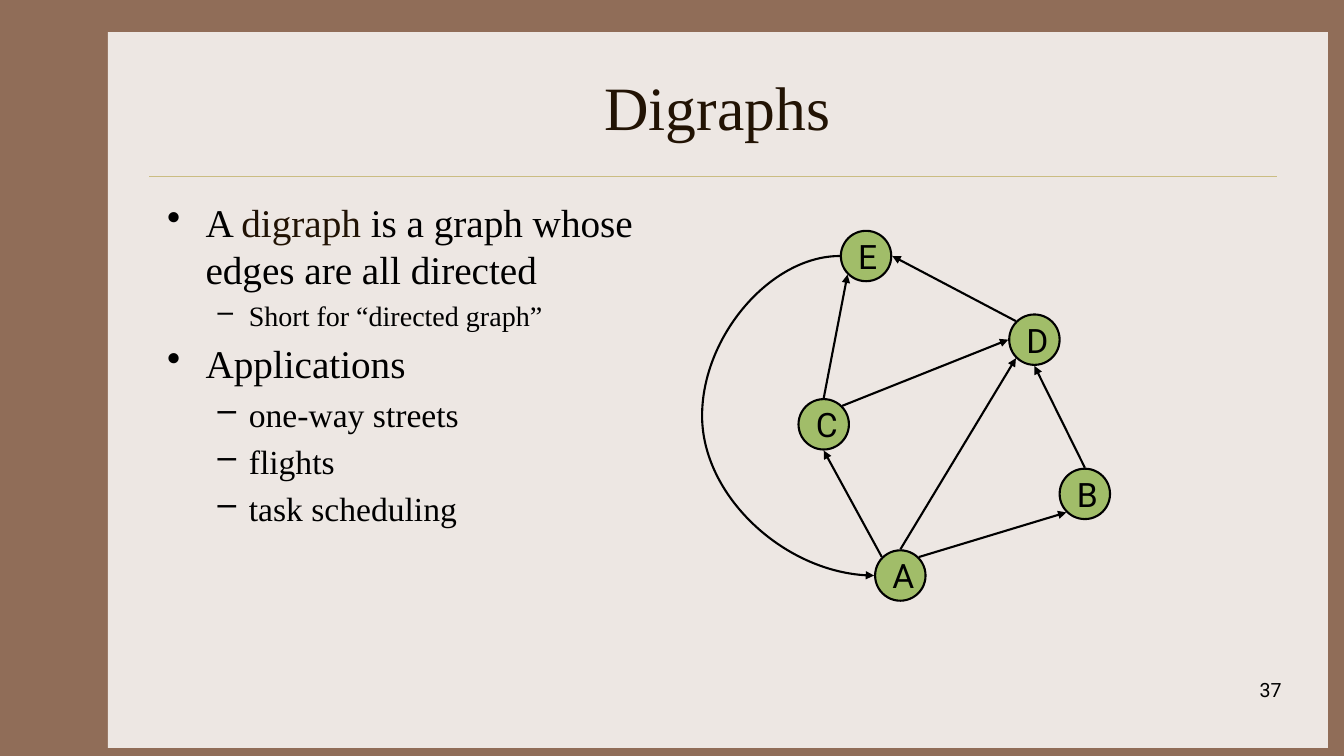
"""Build the slide introducing digraphs, with an example graph of five nodes."""
from math import cos, radians, sin

from lxml import etree
from pptx import Presentation
from pptx.dml.color import RGBColor
from pptx.enum.shapes import MSO_CONNECTOR, MSO_SHAPE
from pptx.enum.text import MSO_ANCHOR, PP_ALIGN
from pptx.oxml.ns import qn
from pptx.util import Inches, Pt

STRAIGHT, CURVE = MSO_CONNECTOR.STRAIGHT, MSO_CONNECTOR.CURVE
LEFT, CENTER, RIGHT = PP_ALIGN.LEFT, PP_ALIGN.CENTER, PP_ALIGN.RIGHT
TOP, MIDDLE = MSO_ANCHOR.TOP, MSO_ANCHOR.MIDDLE
BROWN = RGBColor(0x90, 0x6D, 0x58)
PAPER = RGBColor(0xED, 0xE7, 0xE3)
GOLD = RGBColor(0xCB, 0xBD, 0x83)
DARK_BROWN = RGBColor(0x22, 0x13, 0x04)
GREEN = RGBColor(0xA1, 0xBD, 0x69)
BLACK = RGBColor(0, 0, 0)
SERIF, SANS = "Times New Roman", "Roboto"


def write(paragraph, text, size=28, font=SERIF, color=BLACK, align=LEFT):
    paragraph.alignment = align
    run = paragraph.add_run()
    run.text = text
    run.font.size = Pt(size)
    run.font.name = font
    run.font.color.rgb = color


def connect(kind, start, end, color=BLACK, width=1.5, arrow=None):
    line = slide.shapes.add_connector(kind, *(Inches(v) for v in (*start, *end)))
    line.line.color.rgb = color
    line.line.width = Pt(width)
    if arrow:
        etree.SubElement(line.line._get_or_add_ln(), qn(f"a:{arrow}"), type="triangle")
    etree.SubElement(line._element.spPr, qn("a:effectLst"))
    return line


prs = Presentation()
prs.slide_width, prs.slide_height = Inches(13.33), Inches(7.5)
slide = prs.slides.add_slide(prs.slide_layouts[6])
slide.background.fill.solid()
slide.background.fill.fore_color.rgb = BROWN

paper = slide.shapes.add_shape(
    MSO_SHAPE.RECTANGLE, Inches(1.07), Inches(0.32), Inches(12.1), Inches(7.1))
paper.shadow.inherit = False
paper.fill.solid()
paper.fill.fore_color.rgb = PAPER
paper.line.fill.background()
connect(STRAIGHT, (1.48, 1.75), (12.67, 1.75), color=GOLD, width=0.25)

frames = []
for box, anchor in (((1.56, 0.42, 11.11, 1.25), MIDDLE),
                    ((1.56, 1.92, 5.11, 4.5), TOP),
                    ((10.03, 6.68, 2.78, 0.5), TOP)):
    frame = slide.shapes.add_textbox(*(Inches(v) for v in box)).text_frame
    frame.word_wrap = True
    frame.vertical_anchor = anchor
    frames.append(frame)
title, body, page_number = frames
write(title.paragraphs[0], "Digraphs", size=44, color=DARK_BROWN, align=CENTER)
write(page_number.paragraphs[0], "37", size=14, font=SANS, align=RIGHT)

BULLETS = [
    (0, 28, [("A ", BLACK), ("digraph", DARK_BROWN),
             (" is a graph whose edges are all directed", BLACK)]),
    (1, 20, [("Short for “directed graph”", BLACK)]),
    (0, 28, [("Applications", BLACK)]),
    (1, 24, [("one-way streets", BLACK)]),
    (1, 24, [("flights", BLACK)]),
    (1, 24, [("task scheduling", BLACK)]),
]
LEVELS = [("•", 0.38, 0.38), ("–", 0.81, 0.31)]
for index, (level, size, pieces) in enumerate(BULLETS):
    item = body.add_paragraph() if index else body.paragraphs[0]
    mark, margin, hanging = LEVELS[level]
    item.level = level
    if index:
        item.space_before = Pt(0.2 * size)
    properties = item._p.get_or_add_pPr()
    properties.set("marL", str(Inches(margin)))
    properties.set("indent", str(-Inches(hanging)))
    etree.SubElement(properties, qn("a:buChar"), char=mark)
    for text, color in pieces:
        write(item, text, size=size, color=color)

NODES = {"A": (8.93, 5.71), "C": (8.17, 4.21), "E": (8.59, 2.54),
         "B": (10.76, 4.9), "D": (10.26, 3.37)}
DIAMETER = 0.5
for label, (x, y) in NODES.items():
    node = slide.shapes.add_shape(
        MSO_SHAPE.OVAL, Inches(x - DIAMETER / 2), Inches(y - DIAMETER / 2),
        Inches(DIAMETER), Inches(DIAMETER))
    node.shadow.inherit = False
    node.fill.solid()
    node.fill.fore_color.rgb = GREEN
    node.line.color.rgb = BLACK
    node.line.width = Pt(1.5)
    node.text_frame.word_wrap = False
    node.text_frame.vertical_anchor = MIDDLE
    write(node.text_frame.paragraphs[0], label, size=24, font=SANS)

REACH = 0.26
ANGLES = {"right": 0, "top right": 45, "top": 90, "top left": 135,
          "left": 180, "bottom left": 225, "bottom": 270}
EDGES = [
    ("A", "top left", "C", "bottom"),
    ("A", "top right", "B", "bottom left"),
    ("C", "top", "E", "bottom left"),
    ("D", "top left", "E", "right"),
    ("B", "top", "D", "bottom"),
    ("A", "top", "D", "bottom left"),
    ("C", "top right", "D", "left"),
    ("A", "left", "E", "left"),
]
for source, source_side, target, target_side in EDGES:
    ends = []
    for label, side in ((source, source_side), (target, target_side)):
        x, y = NODES[label]
        angle = radians(ANGLES[side])
        ends.append((x + REACH * cos(angle), y - REACH * sin(angle)))
    if source_side == target_side:
        loop = connect(CURVE, *ends, arrow="headEnd")
        guides = loop._element.spPr.find(qn("a:prstGeom")).get_or_add_avLst()
        etree.SubElement(guides, qn("a:gd"), name="adj1", fmla="val 501600")
    else:
        connect(STRAIGHT, *ends, arrow="tailEnd")

prs.save("out.pptx")
